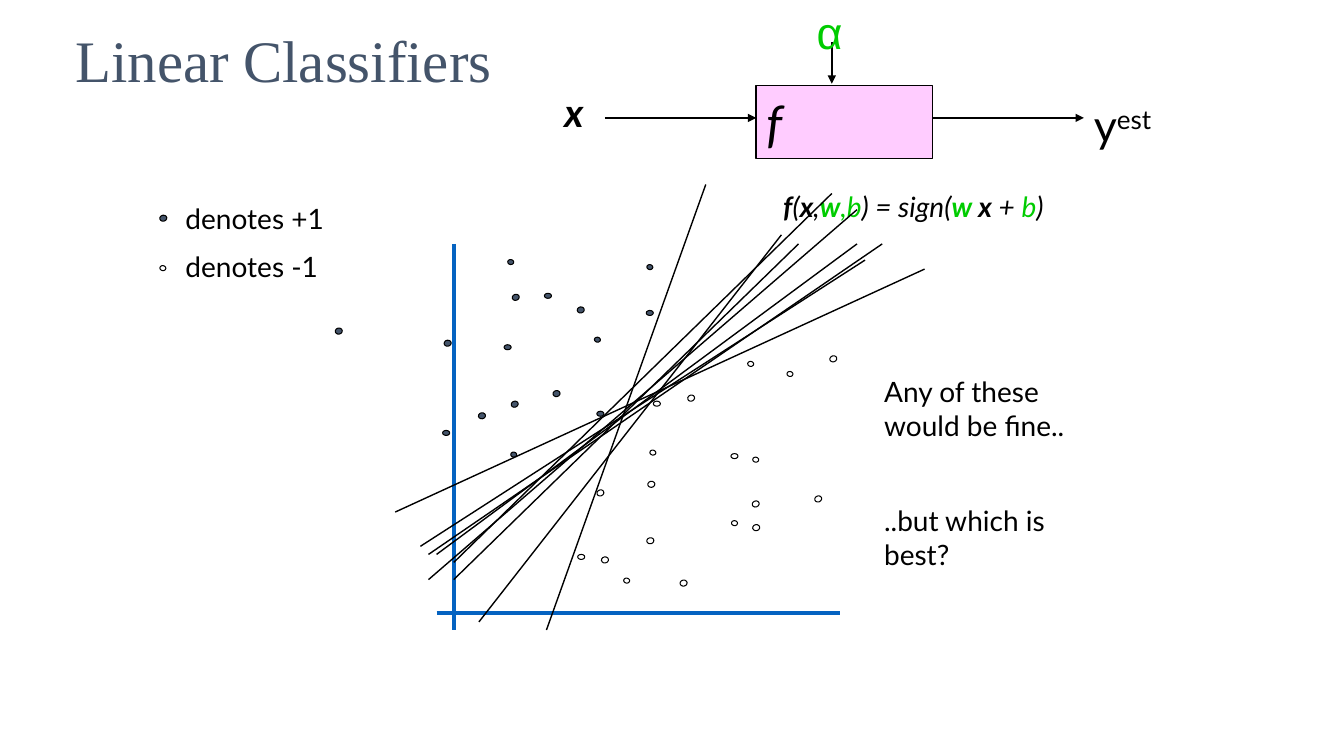
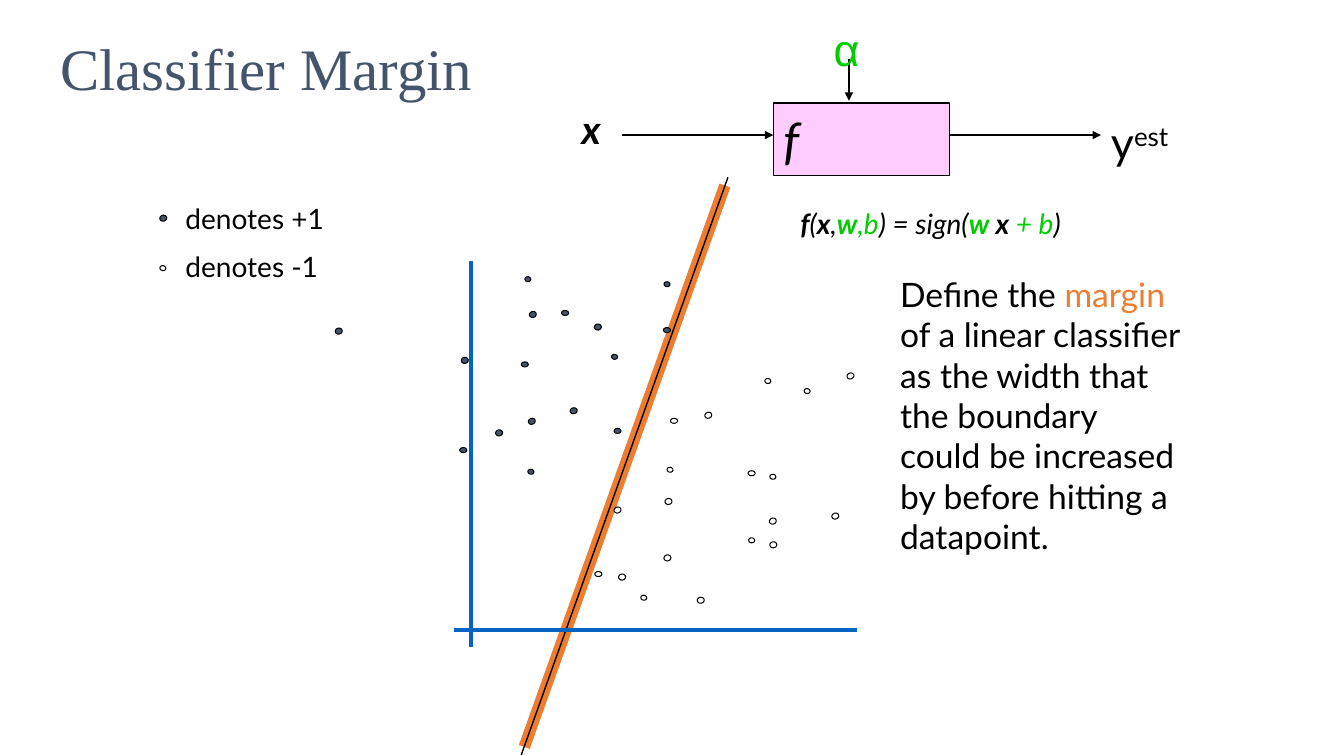
from lxml.etree import SubElement
from pptx import Presentation
from pptx.dml.color import RGBColor
from pptx.enum.shapes import MSO_CONNECTOR, MSO_SHAPE
from pptx.enum.text import MSO_ANCHOR
from pptx.oxml.ns import qn
from pptx.util import Inches, Pt

COLORS = {"title": "44546A", "ink": "000000", "paper": "FFFFFF", "axis": "0563C1",
          "box": "FFCCFF", "param": "00CC00", "margin": "ED7D31"}
BODY_FONT, TITLE_FONT, SYMBOL_FONT = "Lato", "Times New Roman", "Arial"

# Ellipse width and height for each rotation
DOT_SIZES = {0: (0.07, 0.05), 341.4: (0.07, 0.06), 98.3: (0.05, 0.06), 79.6: (0.06, 0.07)}

# Datapoints by rotation, relative to the plot
PLUS_POINTS = {
    0: [(0.39, 2.27), (2.41, 1.08), (1.4, 0.91), (1.92, 2.08), (1, 1.42)],
    341.4: [(1.08, 0.92), (1.07, 1.98)],
    98.3: [(1.9, 1.34), (1.07, 2.48), (2.42, 0.62), (1.04, 0.57)],
    79.6: [(1.49, 1.87), (0.75, 2.09), (1.73, 1.04), (0.41, 1.37)],
}
MINUS_POINTS = {
    0: [(1.73, 3.5), (2.48, 1.98), (3.25, 2.5)],
    341.4: [(1.92, 2.86), (4.23, 1.53), (3.46, 2.97), (2.82, 1.92), (4.08, 2.92)],
    98.3: [(2.19, 3.73), (3.47, 2.53), (2.45, 2.46), (3.81, 1.68), (3.42, 1.58), (3.26, 3.16)],
    79.6: [(2.75, 3.75), (2.42, 3.33), (2.43, 2.77), (1.97, 3.52), (3.47, 3.2)],
}

# Candidate boundaries, relative to the plot
BOUNDARIES = [
    (1.42, 4.25, 3, -0.17), (0.17, 3.42, 4.58, 0.58), (0.5, 3.75, 3.92, 0.42),
    (-0.08, 3.08, 5.17, 0.67), (0.33, 3.5, 4.5, 0.42), (0.25, 3.75, 4.5, 0.08),
    (0.5, 3.58, 4.25, -0.08), (0.75, 4.17, 3.75, 0.33), (0.25, 3.5, 4.75, 0.42),
]


def rgb(name):
    return RGBColor.from_string(COLORS[name])


def add_run(p, text, size=20, font=BODY_FONT, color="ink", bold=False, italic=False, baseline=0):
    r = p.add_run()
    r.text = text
    r.font.size, r.font.name = Pt(size), font
    r.font.bold, r.font.italic = bold, italic
    r.font.color.rgb = rgb(color)
    if baseline:
        r.font._element.set("baseline", str(baseline * 1000))


def add_text(slide, x, y, w, h, paragraphs, gap=10, anchor=MSO_ANCHOR.TOP, **fmt):
    """Each paragraph is a string or a list of (text, format) runs."""
    tf = slide.shapes.add_textbox(Inches(x), Inches(y), Inches(w), Inches(h)).text_frame
    tf.word_wrap, tf.vertical_anchor = True, anchor
    for i, runs in enumerate(paragraphs):
        p = tf.add_paragraph() if i else tf.paragraphs[0]
        if i:
            p.space_before = Pt(gap)
        for text, own in [(runs, {})] if isinstance(runs, str) else runs:
            add_run(p, text, **{**fmt, **own})


def add_shape(slide, kind, x, y, w, h, fill, width, rotation=0):
    sp = slide.shapes.add_shape(kind, Inches(x), Inches(y), Inches(w), Inches(h))
    sp.shadow.inherit = False
    sp.rotation = rotation
    sp.fill.solid()
    sp.fill.fore_color.rgb = rgb(fill)
    sp.line.color.rgb, sp.line.width = rgb("ink"), Pt(width)
    return sp


def add_line(slide, x, y, ends, color="ink", width=1, arrow=False):
    x1, y1, x2, y2 = ends
    line = slide.shapes.add_connector(MSO_CONNECTOR.STRAIGHT, Inches(x + x1), Inches(y + y1),
                                      Inches(x + x2), Inches(y + y2))
    line.line.color.rgb, line.line.width = rgb(color), Pt(width)
    if arrow:
        SubElement(line.line._get_or_add_ln(), qn("a:tailEnd"), type="triangle")
    SubElement(line._element.spPr, qn("a:effectLst"))


def add_dot(slide, x, y, fill, rotation):
    add_shape(slide, MSO_SHAPE.OVAL, x, y, *DOT_SIZES[rotation], fill, 0.75, rotation)


def add_title(slide, x, y, text):
    add_text(slide, x, y, 5.08, 0.75, [text], anchor=MSO_ANCHOR.BOTTOM,
             size=42, font=TITLE_FONT, color="title")


def add_diagram(slide, x, y, formula_end):
    # Function box
    box = add_shape(slide, MSO_SHAPE.RECTANGLE, x + 2, y + 0.85, 1.75, 0.72, "box", 1)
    tf = box.text_frame
    tf.vertical_anchor = MSO_ANCHOR.MIDDLE
    p = tf.paragraphs[0]
    p.alignment = 1
    add_run(p, "f", size=36, italic=True)
    # Input, parameter and output
    for ends in [(0.5, 1.17, 2, 1.17), (2.75, 0.42, 2.75, 0.83), (3.75, 1.17, 5.25, 1.17)]:
        add_line(slide, x, y, ends, arrow=True)
    add_text(slide, x, y + 0.83, 0.67, 0.57, ["x"], size=28, bold=True, italic=True)
    add_text(slide, x + 2.5, y, 0.42, 0.63, ["α"], size=32, font=SYMBOL_FONT, color="param")
    add_text(slide, x + 5.25, y + 0.92, 0.92, 0.63,
             [[("y", {}), ("est", {"baseline": 30})]], size=32)
    # Formula
    bold, param = {"bold": True}, {"color": "param"}
    formula = [("f", bold), ("(", {}), ("x", bold), (",", {}), ("w", {**bold, **param}),
               (",b", param), (") = sign(", {}), ("w", {**bold, **param}), (" x", bold)]
    add_text(slide, x + 2.17, y + 1.83, 3.5, 0.43, [formula + formula_end + [(")", {})]],
             italic=True)


def add_plot(slide, x, y):
    # Axes
    for ends in [(0.5, 0.42, 0.5, 4.25), (0.33, 4.08, 4.33, 4.08)]:
        add_line(slide, x, y, ends, color="axis", width=3)
    # Datapoints
    for fill, groups in [("title", PLUS_POINTS), ("paper", MINUS_POINTS)]:
        for rotation, points in groups.items():
            for px, py in points:
                add_dot(slide, x + px, y + py, fill, rotation)


def add_legend(slide, x, y):
    add_text(slide, x + 0.15, y, 2.08, 0.93, ["denotes +1", "denotes -1"])
    add_dot(slide, x, y + 0.18, "title", 79.6)
    add_dot(slide, x, y + 0.68, "paper", 98.3)
    add_dot(slide, x + 1.74, y + 1.3, "title", 79.6)


def build_classifiers(slide):
    add_title(slide, 0.65, 0.23, "Linear Classifiers")
    add_diagram(slide, 5.5, 0, [(" + ", {}), ("b", {"color": "param"})])
    add_plot(slide, 4, 2)
    for ends in BOUNDARIES:
        add_line(slide, 4, 2, ends)
    add_text(slide, 8.67, 3.67, 2.42, 2.1,
             ["Any of these would be fine..", "..but which is best?"], gap=44)
    add_legend(slide, 1.59, 1.95)


def build_margin(slide):
    x, y = 4.17, 2.17
    # Boundary with its margin
    add_line(slide, x, y, (1.03, 5.24, 3.02, -0.33), color="margin", width=8.25)
    add_line(slide, x, y, (1, 5.32, 3.05, -0.41))
    add_title(slide, 0.5, 0.31, "Classifier Margin")
    add_diagram(slide, 5.67, 0.17, [(" + b", {"color": "param"})])
    add_plot(slide, x, y)
    add_text(slide, 8.83, 2.67, 3, 3.33, [[
        ("Define the ", {}), ("margin", {"color": "margin"}),
        (" of a linear classifier as the width that the boundary could be increased by "
         "before hitting a datapoint.", {})]], size=24)
    add_legend(slide, 1.59, 1.95)


def main():
    prs = Presentation()
    prs.slide_width, prs.slide_height = Inches(13.33), Inches(7.5)
    for build in (build_classifiers, build_margin):
        build(prs.slides.add_slide(prs.slide_layouts[6]))
    prs.save("out.pptx")


if __name__ == "__main__":
    main()
